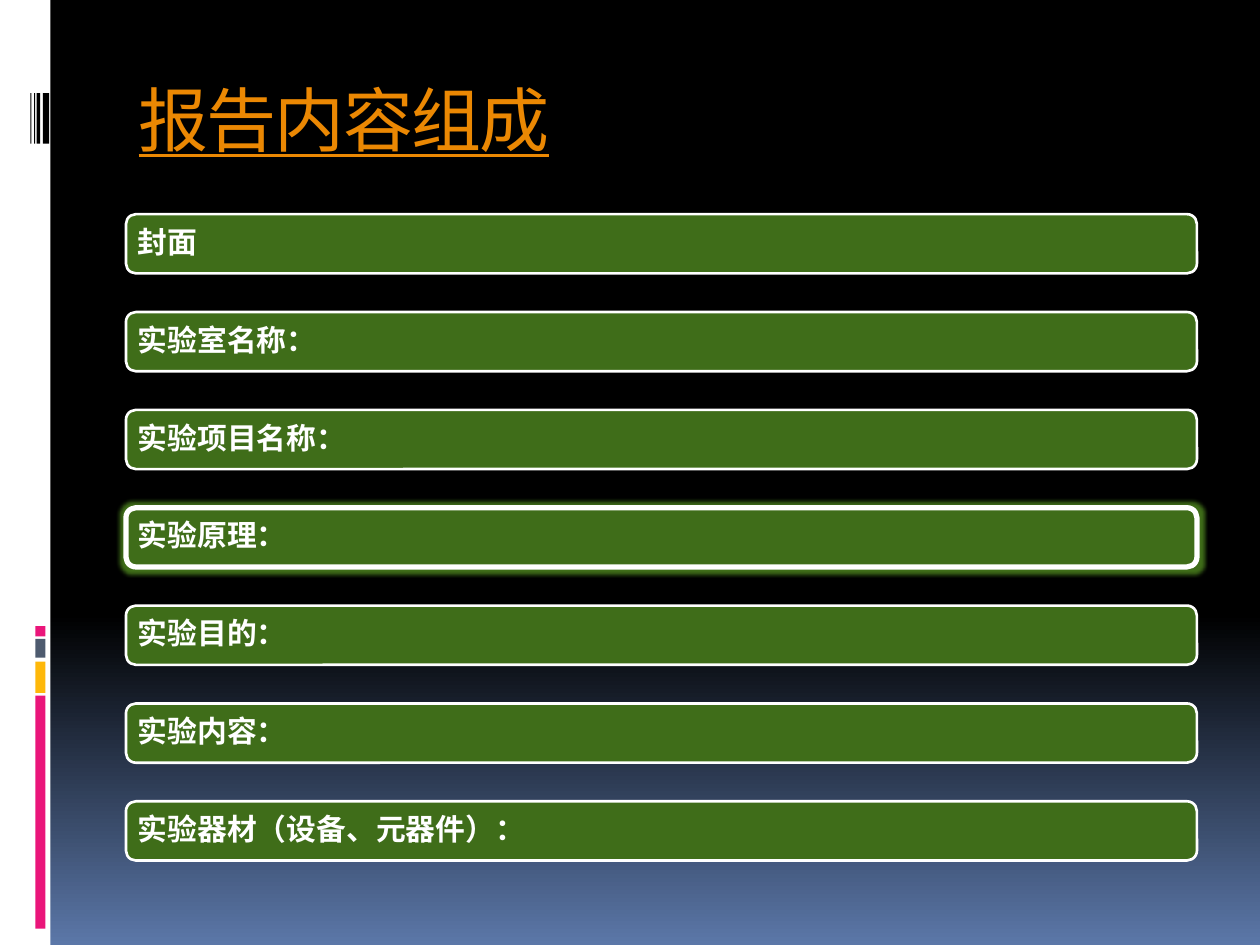
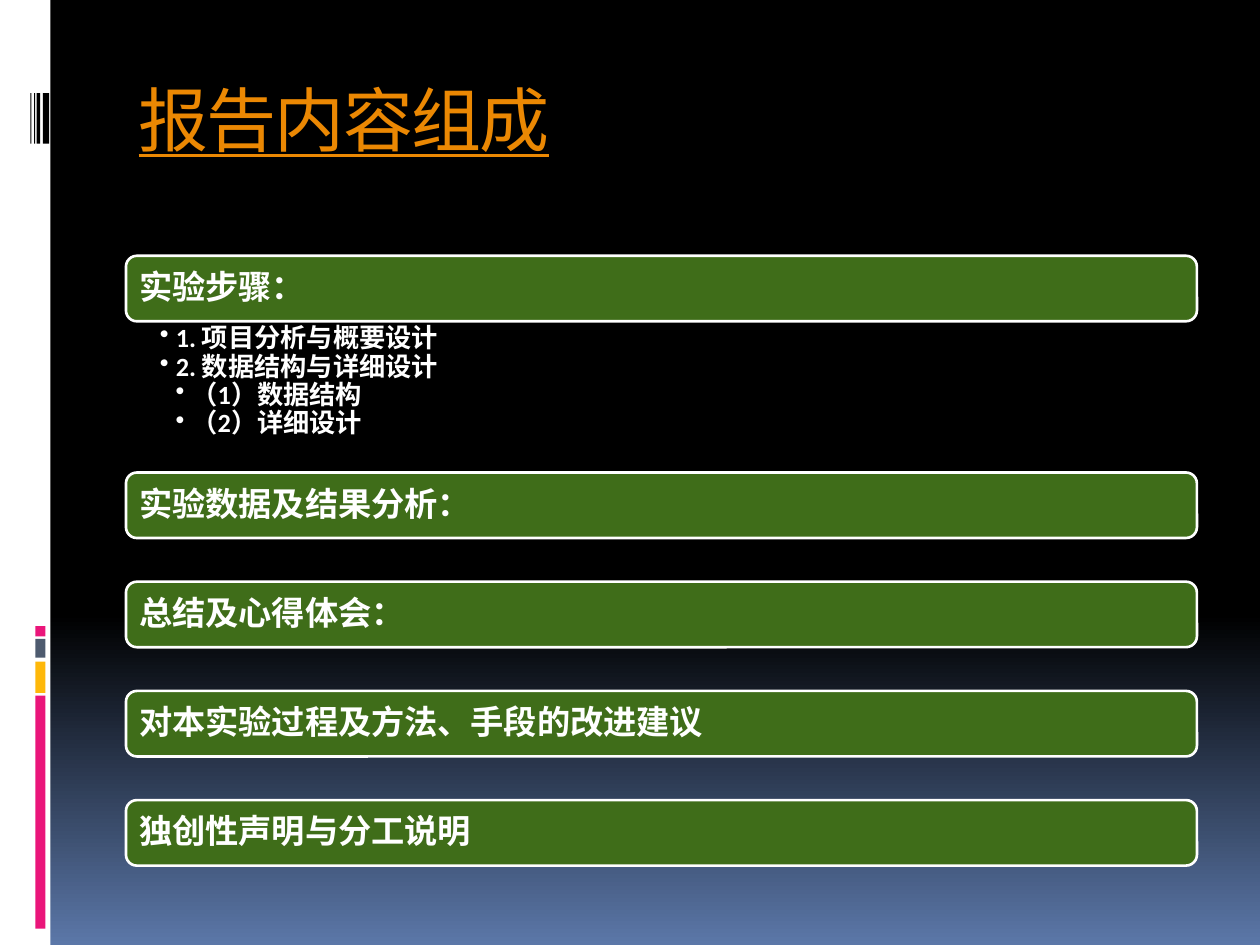
from dataclasses import dataclass

from lxml import etree
from pptx import Presentation
from pptx.dml.color import RGBColor
from pptx.enum import shapes, text
from pptx.oxml.ns import qn
from pptx.util import Inches, Pt

# Content
TITLE = "报告内容组成"
SECTION_SLIDES = [
    {
        "top": 1.7, "bottom": 6.83, "bar_height": 0.47, "size": 17, "inset": 0.07,
        "sections": ["封面", "实验室名称：", "实验项目名称：", "实验原理：",
                     "实验目的：", "实验内容：", "实验器材（设备、元器件）："],
        "highlight": "实验原理：",
        "steps": {},
    },
    {
        "top": 2.03, "bottom": 6.87, "bar_height": 0.52, "size": 19, "inset": 0.08,
        "sections": ["实验步骤：", "实验数据及结果分析：", "总结及心得体会：",
                     "对本实验过程及方法、手段的改进建议", "独创性声明与分工说明"],
        "highlight": None,
        # (level, wording) under a section
        "steps": {"实验步骤：": [(1, "1. 项目分析与概要设计"), (1, "2. 数据结构与详细设计"),
                             (2, "（1）数据结构"), (2, "（2）详细设计")]},
    },
]


# Theme
@dataclass(frozen=True)
class Theme:
    black: str = "000000"
    white: str = "FFFFFF"
    sky: str = "5B77A8"
    pink: str = "EA157A"
    amber: str = "FEB80A"
    slate: str = "4E5B6F"
    orange: str = "EB8803"
    green: str = "3F6D19"
    title_font: str = "Noto Sans Mono"
    body_font: str = "Calibri"
    title_size: int = 40
    step_size: int = 15


THEME = Theme()
LEFT, WIDTH, STEPS_HEIGHT = 1, 8.5, 1.2

# Side band: left, top, width, height, colour
SIDE_BAND = [
    (0, 0, 0.4, 7.5, THEME.white),
    (0.28, 5.52, 0.08, 1.85, THEME.pink),
    (0.28, 5.25, 0.08, 0.25, THEME.amber),
    (0.28, 5.07, 0.08, 0.15, THEME.slate),
    (0.28, 4.97, 0.08, 0.08, THEME.pink),
] + [(left, 0.74, width, 0.4, THEME.black)
     for left, width in ((0.34, 0.05), (0.29, 0.03), (0.27, 0.01), (0.24, 0.01))]


def rgb(colour):
    return RGBColor.from_string(colour)


def add_block(slide, kind, left, top, width, height, colour):
    block = slide.shapes.add_shape(kind, *map(Inches, (left, top, width, height)))
    block.shadow.inherit = False
    block.fill.solid()
    block.fill.fore_color.rgb = rgb(colour)
    block.line.fill.background()
    return block


def style_text(paragraph, size):
    paragraph.alignment = text.PP_ALIGN.LEFT
    paragraph.line_spacing = 0.9
    font = paragraph.font
    font.name, font.size, font.bold = THEME.body_font, Pt(size), True
    font.color.rgb = rgb(THEME.white)


def set_insets(frame, left, top, right, bottom):
    frame.word_wrap = True
    frame.margin_left, frame.margin_top = Inches(left), Inches(top)
    frame.margin_right, frame.margin_bottom = Inches(right), Inches(bottom)


# Shared background and side band, kept on the layout
def dress_layout(layout, slide):
    fill = layout.background.fill
    fill.gradient()
    fill.gradient_angle = 270
    for stop, position, colour in zip(fill.gradient_stops, (0.65, 1), (THEME.black, THEME.sky)):
        stop.position = position
        stop.color.rgb = rgb(colour)
    for index, (*place, colour) in enumerate(SIDE_BAND):
        block = add_block(slide, shapes.MSO_SHAPE.RECTANGLE, *place, colour)
        layout.shapes.element.insert(2 + index, block.element)


def set_title(slide):
    title = slide.shapes.title
    title.left, title.top = Inches(LEFT), Inches(0.56)
    title.width, title.height = Inches(WIDTH), Inches(1)
    frame = title.text_frame
    frame.vertical_anchor = text.MSO_ANCHOR.TOP
    frame.paragraphs[0].alignment = text.PP_ALIGN.LEFT
    run = frame.paragraphs[0].add_run()
    run.text = TITLE
    run.font.name, run.font.size = THEME.title_font, Pt(THEME.title_size)
    run.font.underline = True
    run.font.color.rgb = rgb(THEME.orange)
    properties = run._r.get_or_add_rPr()
    properties.set("spc", "-100")
    etree.SubElement(properties, qn("a:ea"), typeface=THEME.title_font)


def add_glow(bar):
    effects = bar.element.spPr.find(qn("a:effectLst"))
    glow = etree.SubElement(effects, qn("a:glow"), rad=str(Inches(0.06)))
    etree.SubElement(glow, qn("a:srgbClr"), val=THEME.green)


def add_section(slide, wording, top, look):
    bar = add_block(slide, shapes.MSO_SHAPE.ROUNDED_RECTANGLE,
                    LEFT, top, WIDTH, look["bar_height"], THEME.green)
    highlighted = wording == look["highlight"]
    bar.line.color.rgb = rgb(THEME.white)
    bar.line.width = Pt(3 if highlighted else 1.5)
    if highlighted:
        add_glow(bar)
    frame = bar.text_frame
    set_insets(frame, *[look["inset"]] * 4)
    frame.vertical_anchor = text.MSO_ANCHOR.MIDDLE
    frame.text = wording
    style_text(frame.paragraphs[0], look["size"])


def add_steps(slide, steps, top):
    box = slide.shapes.add_textbox(*map(Inches, (LEFT, top, WIDTH, STEPS_HEIGHT)))
    frame = box.text_frame
    set_insets(frame, 0.27, 0.03, 0.15, 0.03)
    frame.text = "\n".join(wording for _, wording in steps)
    for paragraph, (level, _) in zip(frame.paragraphs, steps):
        paragraph.level = level
        properties = paragraph._p.get_or_add_pPr()
        properties.set("marL", str(Inches(0.125 * level)))
        properties.set("indent", str(Inches(-0.125)))
        etree.SubElement(properties, qn("a:buChar"), char="•")
        style_text(paragraph, THEME.step_size)


# Stack the bars; steps take the place of the gap below their section
def fill_slide(slide, look):
    set_title(slide)
    sections, steps, height = look["sections"], look["steps"], look["bar_height"]
    free = (look["bottom"] - look["top"] - len(sections) * height
            - len(steps) * STEPS_HEIGHT)
    gap = free / (len(sections) - 1 - len(steps))
    top = look["top"]
    for wording in sections:
        add_section(slide, wording, top, look)
        top += height
        if wording in steps:
            add_steps(slide, steps[wording], top)
            top += STEPS_HEIGHT
        else:
            top += gap


def main():
    deck = Presentation()
    deck.slide_width, deck.slide_height = Inches(10), Inches(7.5)
    layout = deck.slide_layouts[5]
    slides = [deck.slides.add_slide(layout) for _ in SECTION_SLIDES]
    dress_layout(layout, slides[0])
    for slide, look in zip(slides, SECTION_SLIDES):
        fill_slide(slide, look)
    deck.save("out.pptx")


if __name__ == "__main__":
    main()
